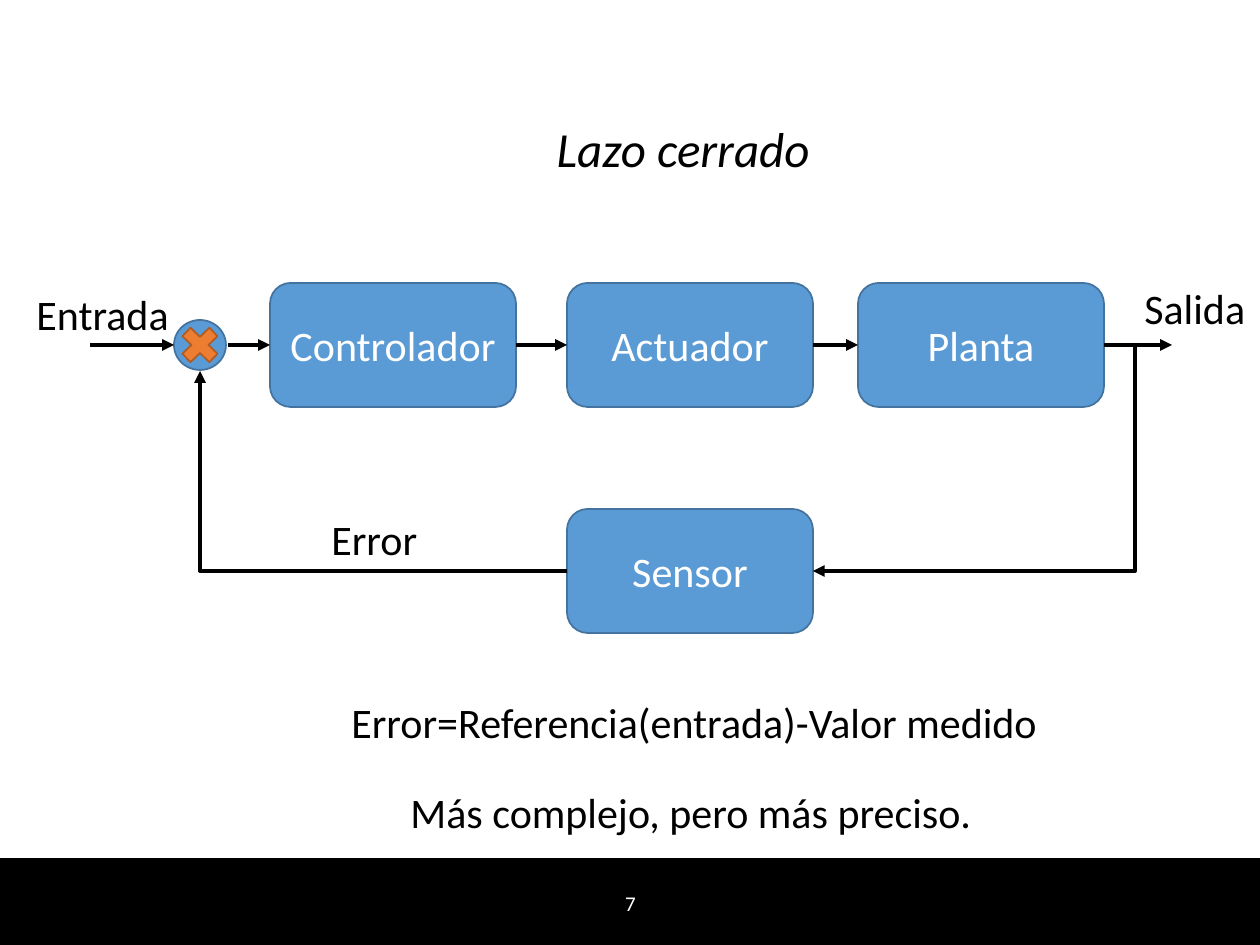
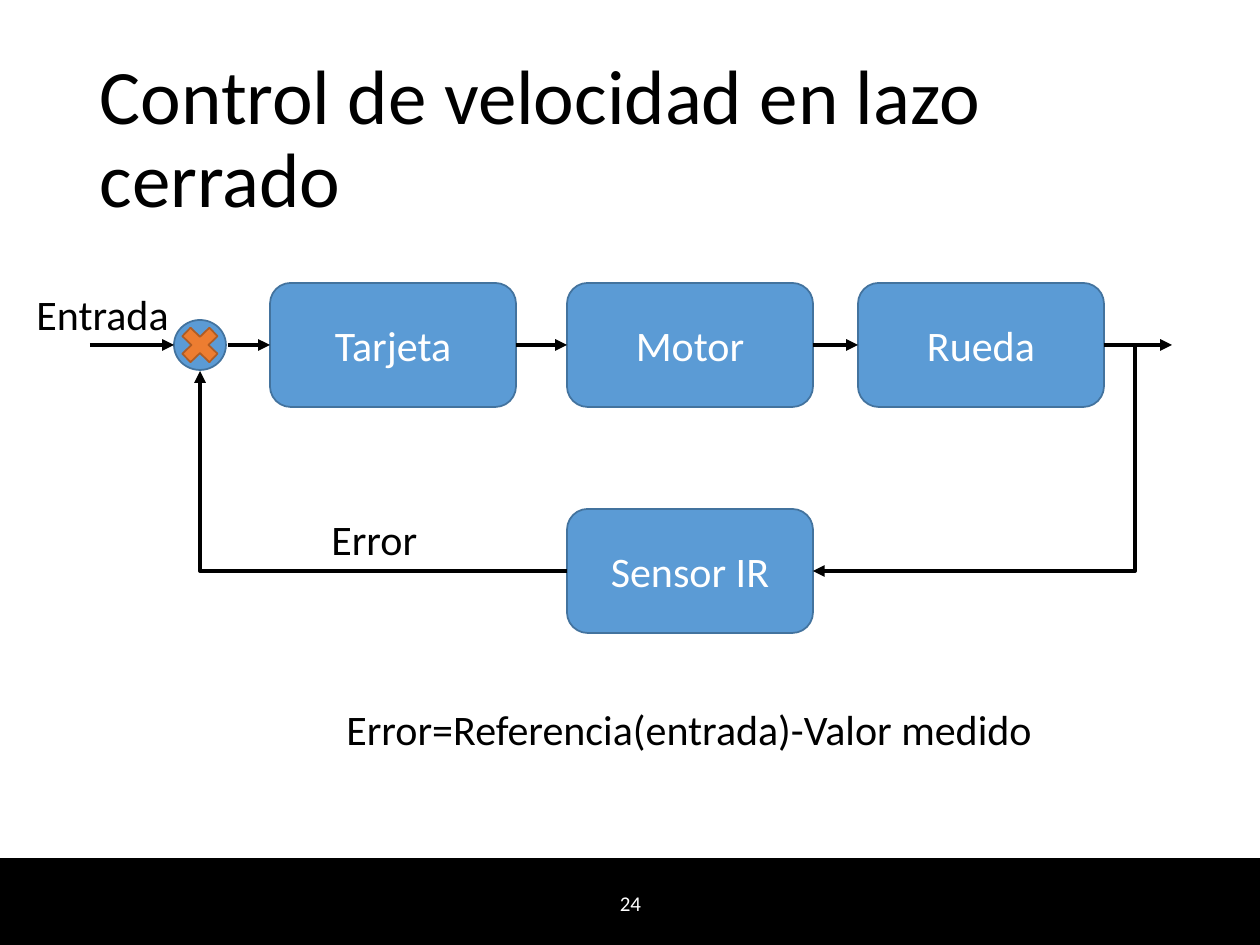
import pptx
import pptx.util
import pptx.dml.color
import pptx.enum.shapes
import pptx.enum.text
import pptx.oxml
import pptx.oxml.ns

COLORS = {
    "paper": "FFFFFF",
    "ink": "000000",
    "block": "5B9BD5",
    "block_edge": "43739E",
    "cross": "ED7D31",
    "cross_edge": "AF5C24",
}
FONT = "Calibri"

ENTRADA = ("Entrada", 24, 282, 189)
ERROR = ("Error", 319, 507, 189)
FORMULA = "Error=Referencia(entrada)-Valor medido"

SLIDES = [
    {
        "title": "Lazo cerrado",
        "title_box": (544, 96, 407, 112),
        "title_size": 28,
        "title_italic": True,
        "chain": ["Controlador", "Actuador", "Planta"],
        "sensor": "Sensor",
        "labels": [
            ENTRADA,
            ("Salida", 1132, 276, 128),
            ERROR,
            (FORMULA, 339, 690, 733),
            ("Más complejo, pero más preciso.", 398, 780, 748),
        ],
        "number": "7",
    },
    {
        "title": "Control de velocidad en lazo cerrado",
        "title_box": (87, 50, 1086, 183),
        "title_size": 44,
        "title_italic": False,
        "chain": ["Tarjeta", "Motor", "Rueda"],
        "sensor": "Sensor IR",
        "labels": [ENTRADA, ERROR, (FORMULA, 334, 697, 733)],
        "number": "24",
    },
]

PX = 914400 / 126
SLIDE_WIDTH, SLIDE_HEIGHT, BAND_TOP = 1260, 945, 858
BLOCK_WIDTH, BLOCK_HEIGHT = 246, 124
CHAIN_LEFTS = (270, 567, 858)
CHAIN_Y, SENSOR_Y = 345, 571
SUM_BOX = (174, 320, 52, 50)
SUM_X, SUM_BOTTOM = 200, 371
INPUT_X, SUM_EXIT_X, OUTPUT_X, BRANCH_X = 90, 228, 1172, 1135
LABEL_HEIGHT = 63
NUMBER_BOX = (489, 878, 283, 50)

SHAPES = pptx.enum.shapes.MSO_SHAPE
CONNECTORS = pptx.enum.shapes.MSO_CONNECTOR
ALIGN = pptx.enum.text.PP_ALIGN
ANCHOR = pptx.enum.text.MSO_ANCHOR
TOP, LEFT, BOTTOM, RIGHT = range(4)
qn = pptx.oxml.ns.qn


def emu(*lengths):
    return [round(length * PX) for length in lengths]


def color(name):
    return pptx.dml.color.RGBColor.from_string(COLORS[name])


def write(shape, text, size, ink="ink", align=ALIGN.LEFT, anchor=ANCHOR.TOP, italic=None):
    frame = shape.text_frame
    frame.text = text
    frame.word_wrap = True
    frame.vertical_anchor = anchor
    paragraph = frame.paragraphs[0]
    paragraph.alignment = align
    font = paragraph.runs[0].font
    font.name = FONT
    font.size = pptx.util.Pt(size)
    font.italic = italic
    font.color.rgb = color(ink)
    return paragraph


def add_shape(shapes, kind, box, fill, edge=None):
    shape = shapes.add_shape(kind, *emu(*box))
    shape.shadow.inherit = False
    shape.fill.solid()
    shape.fill.fore_color.rgb = color(fill)
    if edge:
        shape.line.color.rgb = color(edge)
        shape.line.width = pptx.util.Pt(1)
    else:
        shape.line.fill.background()
    return shape


def add_block(slide, name, left, middle):
    box = (left, middle - BLOCK_HEIGHT // 2, BLOCK_WIDTH, BLOCK_HEIGHT)
    block = add_shape(slide.shapes, SHAPES.ROUNDED_RECTANGLE, box, "block", "block_edge")
    write(block, name, 24, "paper", ALIGN.CENTER, ANCHOR.MIDDLE)
    return block


def add_arrow(slide, start, end, kind=CONNECTORS.STRAIGHT):
    arrow = slide.shapes.add_connector(kind, *emu(*start, *end))
    arrow.line.color.rgb = color("ink")
    arrow.line.width = pptx.util.Pt(2.25)
    properties = arrow.element.spPr
    head = pptx.oxml.ns.nsdecls("a")
    properties.find(qn("a:ln")).append(
        pptx.oxml.parse_xml(f'<a:tailEnd {head} type="triangle"/>'))
    properties.append(pptx.oxml.parse_xml(f"<a:effectLst {head}/>"))
    return arrow


def add_summing_point(slide):
    group = slide.shapes.add_group_shape()
    add_shape(group.shapes, SHAPES.OVAL, SUM_BOX, "block", "block_edge")
    add_shape(group.shapes, SHAPES.MATH_MULTIPLY, SUM_BOX, "cross", "cross_edge")


def add_feedback(slide):
    sensor_left = CHAIN_LEFTS[1]
    sensor_right = sensor_left + BLOCK_WIDTH
    chain_right = CHAIN_LEFTS[-1] + BLOCK_WIDTH
    branch = add_arrow(slide, (chain_right, CHAIN_Y), (sensor_right, SENSOR_Y), CONNECTORS.ELBOW)
    bend = round(100000 * (chain_right - BRANCH_X) / (chain_right - sensor_right))
    guides = branch.element.spPr.find(qn("a:prstGeom")).find(qn("a:avLst"))
    guides.append(pptx.oxml.parse_xml(
        f'<a:gd {pptx.oxml.ns.nsdecls("a")} name="adj1" fmla="val {bend}"/>'))

    error = add_arrow(slide, (SUM_X, SUM_BOTTOM), (sensor_left, SENSOR_Y), CONNECTORS.ELBOW)
    error.element.spPr.find(qn("a:prstGeom")).set("prst", "bentConnector2")
    error.element.spPr.find(qn("a:xfrm")).set("rot", "10800000")


def add_loop(slide, chain, sensor):
    add_summing_point(slide)
    blocks = [add_block(slide, name, left, CHAIN_Y) for name, left in zip(chain, CHAIN_LEFTS)]
    add_block(slide, sensor, CHAIN_LEFTS[1], SENSOR_Y)

    stops = [(INPUT_X, SUM_BOX[0]), (SUM_EXIT_X, CHAIN_LEFTS[0])]
    stops += [(left + BLOCK_WIDTH, after)
              for left, after in zip(CHAIN_LEFTS, CHAIN_LEFTS[1:] + (OUTPUT_X,))]
    sources = [None, None, *blocks]
    targets = [None, *blocks, None]
    for (start, end), source, target in zip(stops, sources, targets):
        arrow = add_arrow(slide, (start, CHAIN_Y), (end, CHAIN_Y))
        if source:
            arrow.begin_connect(source, RIGHT)
        if target:
            arrow.end_connect(target, LEFT)
    add_feedback(slide)


def add_bands(master, slide):
    footer = (0, BAND_TOP, SLIDE_WIDTH, SLIDE_HEIGHT - BAND_TOP)
    page = (0, 0, SLIDE_WIDTH, BAND_TOP)
    bands = [
        add_shape(slide.shapes, SHAPES.RECTANGLE, footer, "ink", "ink"),
        add_shape(slide.shapes, SHAPES.RECTANGLE, page, "paper"),
    ]
    for position, band in enumerate(bands, 2):
        master.shapes.element.insert(position, band.element)


def add_title(slide, content):
    title = slide.shapes.title
    title.left, title.top, title.width, title.height = emu(*content["title_box"])
    paragraph = write(title, content["title"], content["title_size"],
                      anchor=ANCHOR.MIDDLE, italic=content["title_italic"])
    paragraph.line_spacing = 0.9
    title.text_frame.auto_size = pptx.enum.text.MSO_AUTO_SIZE.NONE


def add_label(slide, text, left, top, width):
    label = slide.shapes.add_textbox(*emu(left, top, width, LABEL_HEIGHT))
    write(label, text, 24)
    label.text_frame.margin_right = 0


def main():
    presentation = pptx.Presentation()
    presentation.slide_width, presentation.slide_height = emu(SLIDE_WIDTH, SLIDE_HEIGHT)
    title_only = presentation.slide_layouts.get_by_name("Title Only")
    for index, content in enumerate(SLIDES):
        slide = presentation.slides.add_slide(title_only)
        if index == 0:
            add_bands(presentation.slide_master, slide)
        add_title(slide, content)
        add_loop(slide, content["chain"], content["sensor"])
        for label in content["labels"]:
            add_label(slide, *label)
        number = slide.shapes.add_textbox(*emu(*NUMBER_BOX))
        write(number, content["number"], 12, "paper", ALIGN.CENTER, ANCHOR.MIDDLE)
    presentation.save("out.pptx")


if __name__ == "__main__":
    main()
